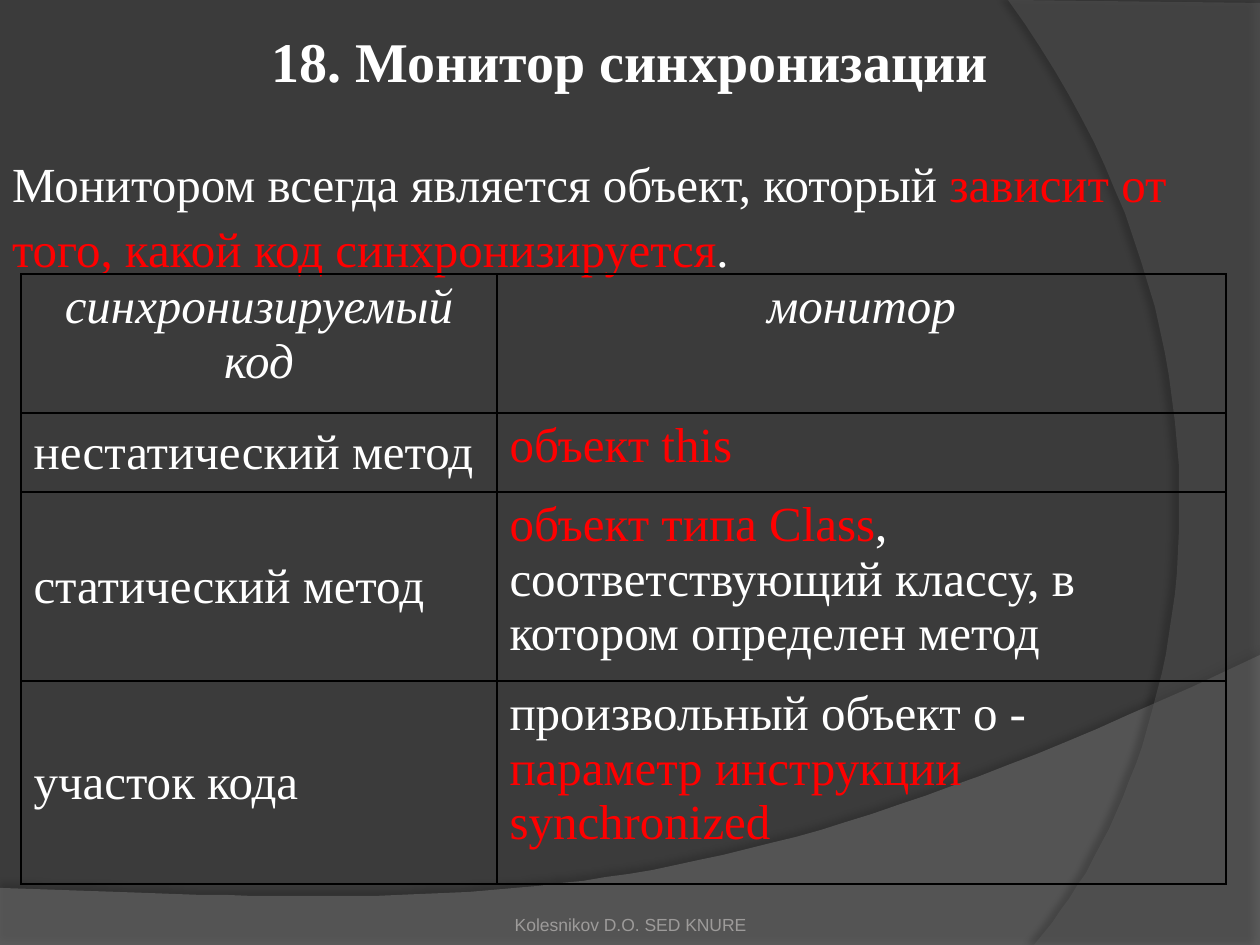
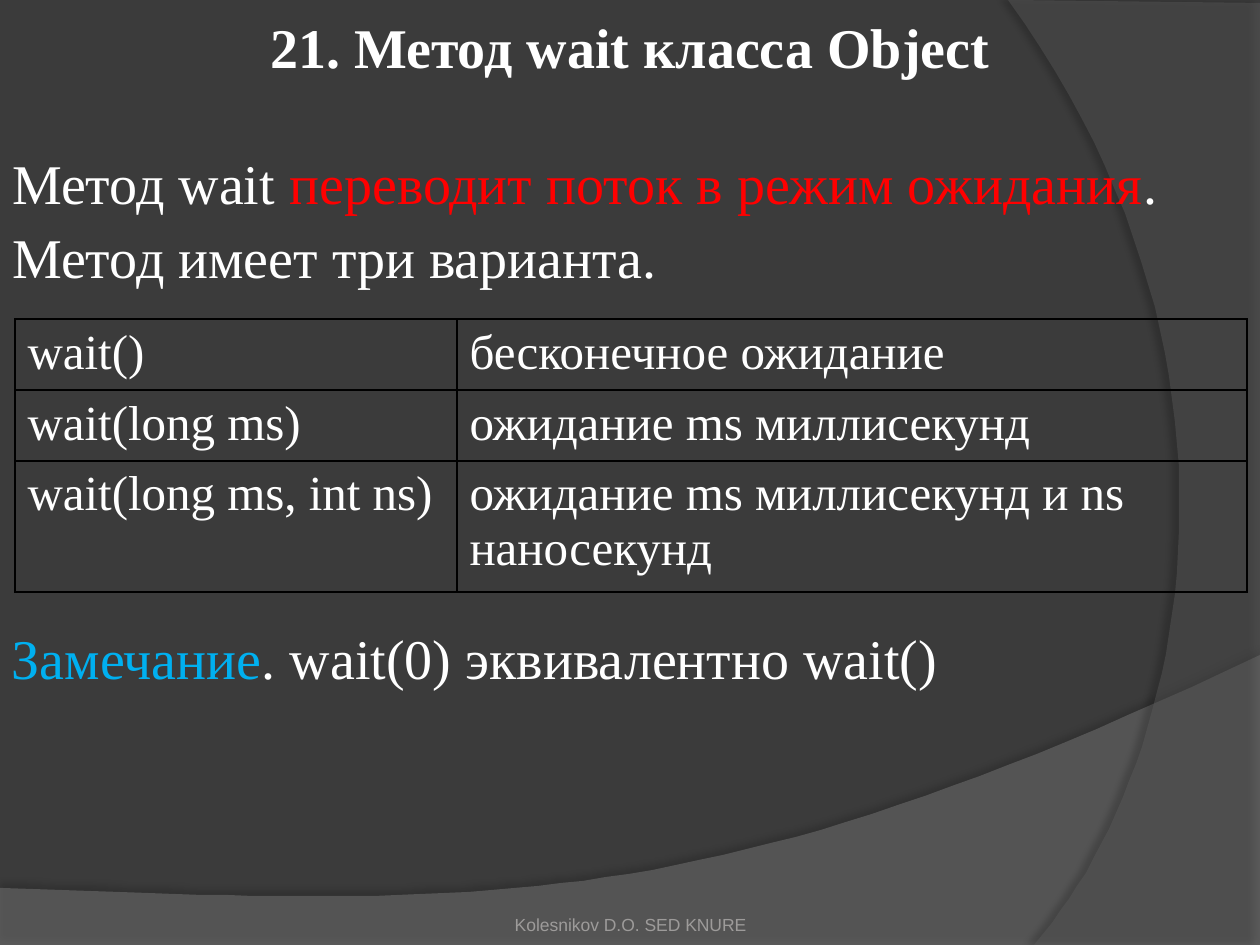
from dataclasses import dataclass

from lxml import etree
from pptx import Presentation, util as u
from pptx.dml.color import RGBColor
from pptx.enum import text
from pptx.oxml import parse_xml
from pptx.oxml.ns import nsdecls, qn

PX = u.Inches(1) / 126
WIDE, HIGH = 1260, 945
LEFT, MID, JUST = text.PP_ALIGN.LEFT, text.PP_ALIGN.CENTER, text.PP_ALIGN.JUSTIFY
TOP, CORE, LOW = (text.MSO_ANCHOR.TOP, text.MSO_ANCHOR.MIDDLE,
                  text.MSO_ANCHOR.BOTTOM)


@dataclass(frozen=True)
class Theme:
    back: str = "3B3B3B"
    ink: str = "FFFFFF"
    key: str = "FF0000"
    note: str = "00B0F0"
    grid: str = "000000"
    foot: str = "9D9B9A"
    hill: str = "7F7F7F"
    arc: str = "5E5E5E"
    serif: str = "Times New Roman"
    sans: str = "Arial"
    big: int = 32
    base: int = 28
    small: int = 10
    lead: float = 1.1


def emu(*px):
    return [u.Emu(round(v * PX)) for v in px]


def curve(a, b, c, d, steps=48):
    """Points of a cubic Bezier curve after its start a."""
    ts = [i / steps for i in range(1, steps + 1)]
    return [tuple((1 - t) ** 3 * p + 3 * t * (1 - t) ** 2 * q
                  + 3 * t * t * (1 - t) * r + t ** 3 * s
                  for p, q, r, s in zip(a, b, c, d)) for t in ts]


class Deck:
    def __init__(self, theme):
        self.theme = theme
        self.prs = Presentation()
        self.prs.slide_width, self.prs.slide_height = emu(WIDE, HIGH)
        self.slide = None
        fill = self.prs.slide_master.background.fill
        fill.solid()
        fill.fore_color.rgb = RGBColor.from_string(theme.back)

    def page(self):
        self.slide = self.prs.slides.add_slide(self.prs.slide_layouts[1])

    def band(self, points, color, alpha, shade, dist, angle, level):
        """Draw a translucent outline with a shadow and move it to the master."""
        pen = self.slide.shapes.build_freeform(*points[0], scale=PX)
        pen.add_line_segments(points[1:], close=True)
        shape = pen.convert_to_shape()
        shape.line.fill.background()
        shape.fill.solid()
        shape.fill.fore_color.rgb = RGBColor.from_string(color)
        tint = shape.element.spPr.find(".//" + qn("a:solidFill"))[0]
        etree.SubElement(tint, qn("a:alpha"), val=str(alpha * 1000))
        shape.element.spPr.append(parse_xml(
            f'<a:effectLst {nsdecls("a")}><a:outerShdw blurRad="{u.Pt(4)}" '
            f'dist="{u.Pt(dist)}" dir="{angle * 60000}" algn="ctr" '
            f'rotWithShape="0"><a:srgbClr val="{self.theme.grid}">'
            f'<a:alpha val="{shade * 1000}"/></a:srgbClr>'
            '</a:outerShdw></a:effectLst>'))
        self.prs.slide_master.shapes.element.insert(2 + level, shape.element)

    def para(self, para, runs, size, align=LEFT, font=None, bold=False,
             slant=False, lead=1.0):
        """Write runs, each a plain string or a (string, colour) pair."""
        para.alignment = align
        para.line_spacing = lead
        para.space_before = u.Pt(0)
        for item in runs:
            words, color = (item, self.theme.ink) if isinstance(item, str) else item
            run = para.add_run()
            run.text = words
            face = run.font
            face.name, face.size = font or self.theme.serif, u.Pt(size)
            face.bold, face.italic = bold, slant
            face.color.rgb = RGBColor.from_string(color)

    def place(self, shape, box, anchor=TOP, pads=(12, 6, 12, 6)):
        shape.left, shape.top, shape.width, shape.height = emu(*box)
        frame = shape.text_frame
        frame.word_wrap = True
        frame.auto_size = text.MSO_AUTO_SIZE.NONE
        frame.vertical_anchor = anchor
        (frame.margin_left, frame.margin_top,
         frame.margin_right, frame.margin_bottom) = emu(*pads)
        return frame.paragraphs[0]

    def title(self, words, top):
        para = self.place(self.slide.shapes.title, (0, top, WIDE, 80))
        self.para(para, [words], self.theme.big, MID, bold=True,
                  lead=self.theme.lead)

    def body(self, runs, top, high, size):
        para = self.place(self.slide.placeholders[1], (0, top, WIDE, high))
        self.para(para, runs, size, lead=self.theme.lead)
        props = para._p.get_or_add_pPr()
        props.set("marL", "0")
        props.set("indent", "0")
        etree.SubElement(props, qn("a:buNone"))

    def label(self, runs, box, size, anchor=TOP, pads=(12, 6, 12, 6), **style):
        para = self.place(self.slide.shapes.add_textbox(*emu(*box)), box,
                          anchor, pads)
        self.para(para, runs, size, **style)

    def foot(self):
        self.label([("Kolesnikov D.O. SED KNURE", self.theme.foot)],
                   (431, 885, 399, 50), self.theme.small, LOW, (0, 6, 0, 0),
                   align=MID, font=self.theme.sans)

    def edge(self, cell):
        cell.fill.background()
        props = cell._tc.get_or_add_tcPr()
        for i, side in enumerate("LRTB"):
            props.insert(i, parse_xml(
                f'<a:ln{side} {nsdecls("a")} w="{u.Pt(1)}"><a:solidFill>'
                f'<a:srgbClr val="{self.theme.grid}"/></a:solidFill></a:ln{side}>'))

    def table(self, left, top, cols, rows, cells, head=False):
        """Fill a ruled table; each cell is a list of paragraphs of runs.

        With head, the first row is centred italics and the row names
        below it are centred vertically.
        """
        box = emu(left, top, sum(cols), sum(rows))
        table = self.slide.shapes.add_table(len(rows), len(cols), *box).table
        table.first_row = table.horz_banding = False
        for col, wide in zip(table.columns, emu(*cols)):
            col.width = wide
        for row, high in zip(table.rows, emu(*rows)):
            row.height = high
        for r, line in enumerate(cells):
            for c, paras in enumerate(line):
                cell = table.cell(r, c)
                self.edge(cell)
                top_row = head and r == 0
                side = head and r > 0 and c == 0
                cell.vertical_anchor = CORE if side else TOP
                frame = cell.text_frame
                for i, runs in enumerate(paras):
                    para = frame.add_paragraph() if i else frame.paragraphs[0]
                    align = MID if top_row else JUST if side else LEFT
                    self.para(para, runs, self.theme.base, align, slant=top_row)


def bands(deck):
    look = deck.theme
    hill = [(0, 888), (0, 946), (WIDE, 946), (WIDE, 655)]
    hill += curve(hill[-1], (704, 919), (493, 906), hill[0])
    arc = [(WIDE, 3), (WIDE, HIGH), (1034, HIGH)]
    arc += curve(arc[-1], (1178, 780), (1283, 378), (1008, 0))
    deck.band(hill, look.hill, 45, 35, 3.5, 270, 0)
    deck.band(arc, look.arc, 40, 45, 4, 180, 1)


def monitor(deck):
    look = deck.theme
    deck.title("18. Монитор синхронизации", 14)
    deck.body(["Монитором всегда является объект, который ",
               ("зависит от того, какой код синхронизируется", look.key), "."],
              142, 131, look.base)
    deck.table(21, 274, (476, 729), (139, 79, 189, 203), [
        [[["синхронизируемый"], ["код"]], [["монитор"]]],
        [[["нестатический метод"]], [[("объект this", look.key)]]],
        [[["статический метод"]],
         [[("объект типа Class", look.key),
           ", соответствующий классу, в котором определен метод"]]],
        [[["участок кода"]],
         [["произвольный объект o - ",
           ("параметр инструкции synchronized", look.key)]]],
    ], head=True)
    deck.foot()


def wait(deck):
    look = deck.theme
    deck.title("21. Метод wait класса Object", 0)
    deck.body(["Метод wait ", ("переводит поток в режим ожидания", look.key),
               ". Метод имеет три варианта."], 136, 148, look.big)
    pairs = [("wait()", "бесконечное ожидание"),
             ("wait(long ms)", "ожидание ms миллисекунд"),
             ("wait(long ms, int ns)", "ожидание ms миллисекунд и ns наносекунд")]
    deck.table(15, 319, (442, 790), (71, 71, 131),
               [[[[words]] for words in pair] for pair in pairs])
    deck.label([("Замечание", look.note), ". wait(0) эквивалентно wait()"],
               (0, 611, WIDE, 80), look.big, align=JUST, lead=look.lead)
    deck.foot()


def main():
    deck = Deck(Theme())
    deck.page()
    bands(deck)
    monitor(deck)
    deck.page()
    wait(deck)
    deck.prs.save("out.pptx")


if __name__ == "__main__":
    main()
